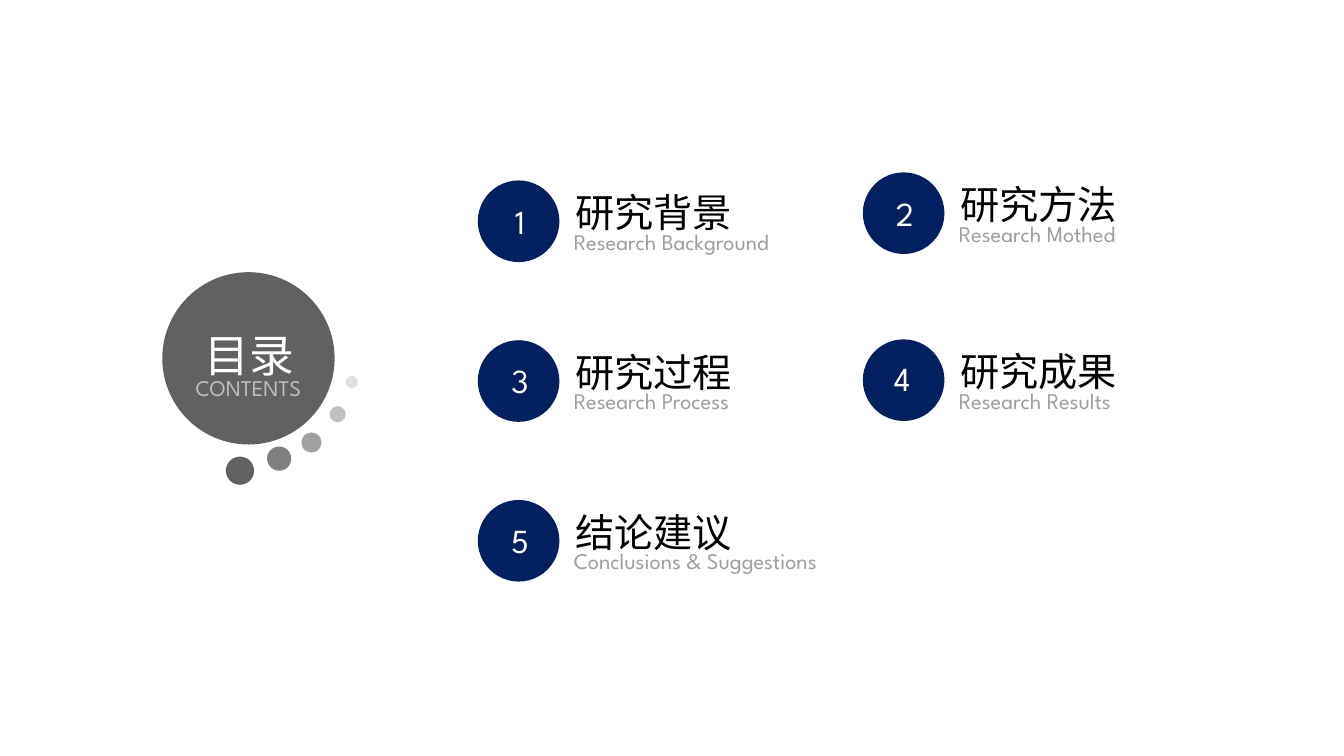
"""Build the contents slide with five numbered research sections."""
import lxml.etree
import pptx
import pptx.dml.color
import pptx.enum.shapes
import pptx.enum.text
import pptx.oxml.ns
import pptx.util

GREY = pptx.dml.color.RGBColor(0x61, 0x61, 0x61)
NAVY = pptx.dml.color.RGBColor(0x00, 0x20, 0x60)
WHITE = pptx.dml.color.RGBColor(0xFF, 0xFF, 0xFF)
BLACK = pptx.dml.color.RGBColor(0x00, 0x00, 0x00)
SILVER = pptx.dml.color.RGBColor(0xBF, 0xBF, 0xBF)
CAPTION_GREY = pptx.dml.color.RGBColor(0x9E, 0x9E, 0x9E)
LATIN_FONT = "League Spartan"
CHINESE_FONT = "Noto Sans CJK SC"
LEFT = pptx.enum.text.PP_ALIGN.LEFT
CENTER = pptx.enum.text.PP_ALIGN.CENTER

COLUMN_LEFT, COLUMN_RIGHT = 341.3, 616.3
SECTIONS = [
    (COLUMN_LEFT, 128.9, "研究背景", "Research Background"),
    (COLUMN_RIGHT, 123.1, "研究方法", "Research Mothed"),
    (COLUMN_LEFT, 243, "研究过程", "Research Process"),
    (COLUMN_RIGHT, 242.4, "研究成果", "Research Results"),
    (COLUMN_LEFT, 357.1, "结论建议", "Conclusions & Suggestions"),
]
NUMBER_OFFSETS = {4: (10.1, 9.4)}
DOT_CENTERS = [(171.4, 336.2), (199.4, 327.6), (222.5, 316.1), (241.2, 295.9), (251.3, 272.9)]


def points(*lengths):
    return [pptx.util.Pt(length) for length in lengths]


def add_circle(shapes, left, top, diameter, color, opacity=100):
    circle = shapes.add_shape(
        pptx.enum.shapes.MSO_SHAPE.OVAL, *points(left, top, diameter, diameter)
    )
    circle.shadow.inherit = False
    circle.line.fill.background()
    circle.fill.solid()
    circle.fill.fore_color.rgb = color
    if opacity < 100:
        color_element = circle.element.find(".//" + pptx.oxml.ns.qn("a:srgbClr"))
        alpha = lxml.etree.SubElement(color_element, pptx.oxml.ns.qn("a:alpha"))
        alpha.set("val", str(opacity * 1000))
    return circle


def write_text(shape, text, size, color, font_name, alignment):
    frame = shape.text_frame
    frame.word_wrap = True
    frame.auto_size = pptx.enum.text.MSO_AUTO_SIZE.SHAPE_TO_FIT_TEXT
    frame.vertical_anchor = pptx.enum.text.MSO_ANCHOR.TOP
    paragraph = frame.paragraphs[0]
    paragraph.alignment = alignment
    run = paragraph.add_run()
    run.text = text
    run.font.size = pptx.util.Pt(size)
    run.font.color.rgb = color
    run.font.name = font_name
    east_asian = lxml.etree.Element(pptx.oxml.ns.qn("a:ea"), typeface=font_name)
    run.font.element.find(pptx.oxml.ns.qn("a:latin")).addnext(east_asian) if hasattr(
        run.font, "element"
    ) else paragraph.runs[0]._r.find(".//" + pptx.oxml.ns.qn("a:latin")).addnext(east_asian)


def add_label(shapes, box, text, size, color, font_name, alignment=LEFT):
    label = shapes.add_textbox(*points(*box))
    write_text(label, text, size, color, font_name, alignment)


def add_heading(slide):
    circle = add_circle(slide.shapes, 115.9, 194.4, 123.1, GREY)
    title = slide.shapes.title
    title.left, title.top, title.width, title.height = points(124.6, 230.4, 106.6, 46.1)
    write_text(title, "目录", 32, WHITE, CHINESE_FONT, CENTER)
    circle.element.addnext(title.element)
    add_label(slide.shapes, (99.4, 263.5, 156.2, 26.6), "CONTENTS", 16, SILVER, LATIN_FONT, CENTER)


def add_dots(slide):
    shapes = slide.shapes.add_group_shape().shapes
    for index, (center_x, center_y) in enumerate(DOT_CENTERS):
        diameter = 20.16 - 2.88 * index
        add_circle(
            shapes, center_x - diameter / 2, center_y - diameter / 2,
            diameter, GREY, 100 - 20 * index,
        )


def add_section(slide, number, left, top, name, caption):
    shapes = slide.shapes.add_group_shape().shapes
    add_circle(shapes, left, top, 58.3, NAVY)
    offset_x, offset_y = NUMBER_OFFSETS.get(number, (12.2, 10.8))
    number_box = (left + offset_x, top + offset_y, 36, 36)
    add_label(shapes, number_box, str(number), 24, WHITE, LATIN_FONT, CENTER)
    add_label(shapes, (left + 62.6, top + 2.3, 142.6, 41), name, 28, BLACK, CHINESE_FONT)
    add_label(shapes, (left + 61.6, top + 30.3, 219.6, 26.6), caption, 16, CAPTION_GREY, LATIN_FONT)


def main():
    presentation = pptx.Presentation()
    presentation.slide_width, presentation.slide_height = points(960, 540)
    slide = presentation.slides.add_slide(presentation.slide_layouts[5])
    add_heading(slide)
    add_dots(slide)
    for number, section in enumerate(SECTIONS, start=1):
        add_section(slide, number, *section)
    presentation.save("out.pptx")


if __name__ == "__main__":
    main()
